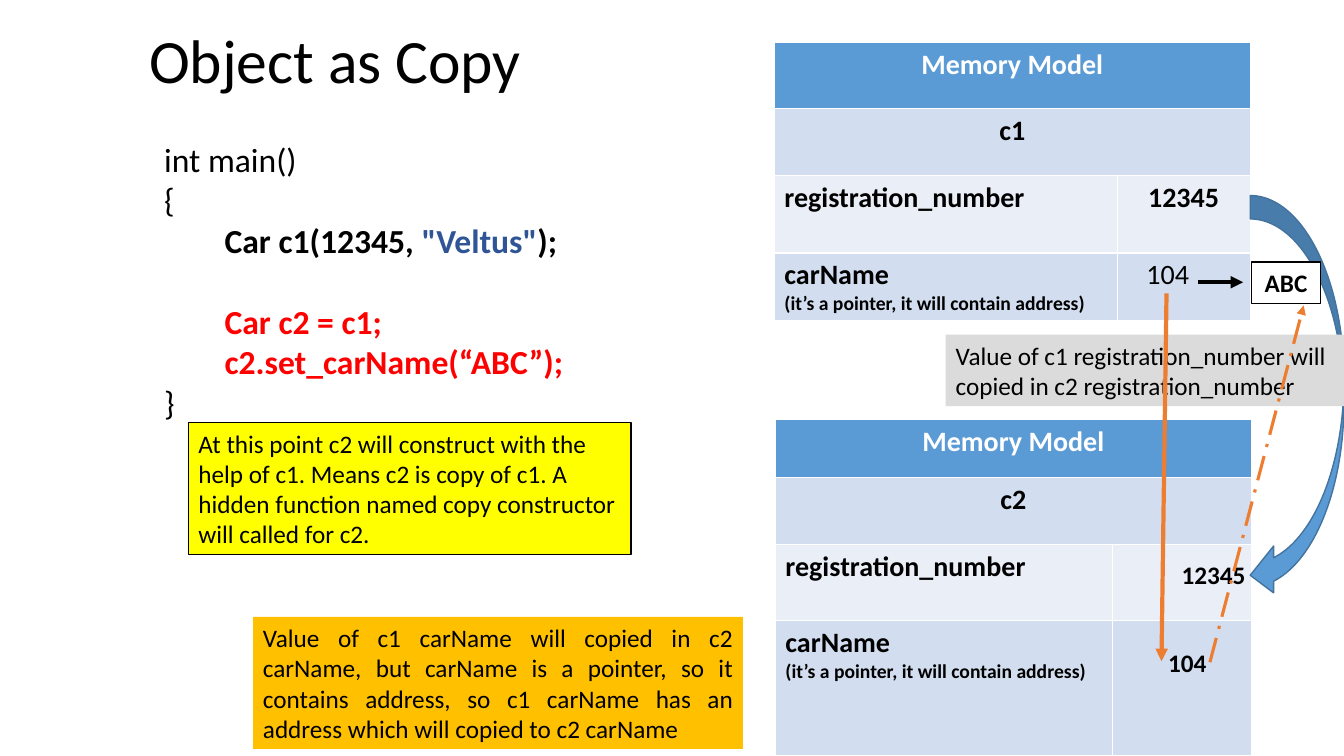
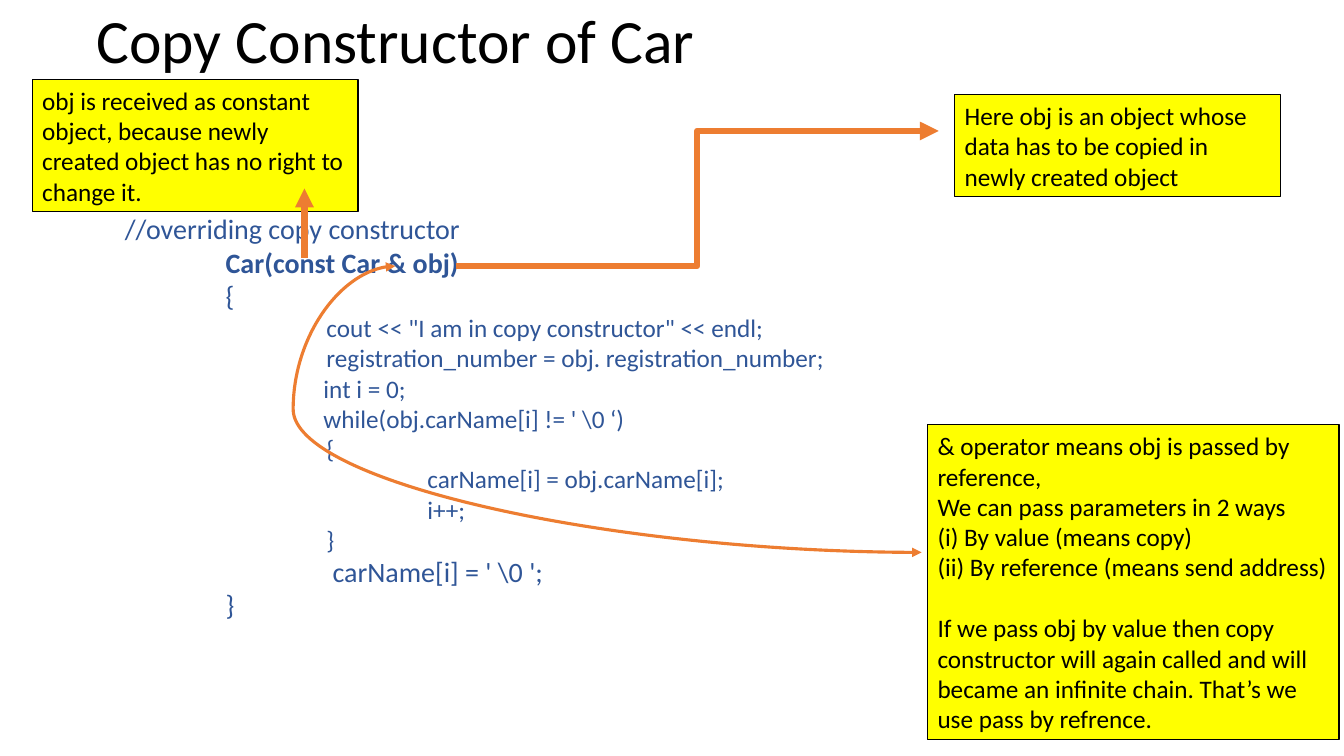
"""Build two slides on copying objects and the copy constructor."""
from lxml import etree
from pptx import Presentation
from pptx.dml.color import RGBColor
from pptx.enum.dml import MSO_LINE
from pptx.enum.shapes import MSO_CONNECTOR, MSO_SHAPE
from pptx.enum.text import MSO_ANCHOR, PP_ALIGN
from pptx.oxml.ns import qn
from pptx.util import Inches, Pt

RECT, CURL = MSO_SHAPE.RECTANGLE, MSO_SHAPE.CURVED_LEFT_ARROW
LINE, BENT, CURVE = MSO_CONNECTOR.STRAIGHT, MSO_CONNECTOR.ELBOW, MSO_CONNECTOR.CURVE
LEFT, MID, FULL = PP_ALIGN.LEFT, PP_ALIGN.CENTER, PP_ALIGN.JUSTIFY
TOP, CENTER = MSO_ANCHOR.TOP, MSO_ANCHOR.MIDDLE
DASH = MSO_LINE.LONG_DASH_DOT

HEX = {
    "black": "000000", "white": "FFFFFF", "blue": "5B9BD5", "edge": "43739E",
    "code": "2F5597", "red": "FF0000", "pale": "D2DEEF", "faint": "EAEFF7",
    "grey": "DBDBDB", "gold": "FFC000", "yellow": "FFFF00", "orange": "ED7D31",
}
BASE = {"name": "Calibri", "size": 18, "bold": False, "color": "black"}


def tint(name):
    """Return the named colour."""
    return RGBColor.from_string(HEX[name])


def style(font, form):
    """Apply a dict of format values to a font."""
    for key, value in form.items():
        if key == "color":
            font.color.rgb = tint(value)
        else:
            setattr(font, key, Pt(value) if key == "size" else value)


def row(*runs, left=0, gap=0, **form):
    """Describe one paragraph: its runs, indent, space before and format."""
    return {"runs": runs, "left": left, "gap": gap, "form": form}


def write(frame, rows, align=LEFT, **form):
    """Fill a text frame; runs are strings or (string, format) pairs."""
    for i, item in enumerate(rows):
        item = row(item) if isinstance(item, str) else item
        para = frame.add_paragraph() if i else frame.paragraphs[0]
        para.alignment = align
        para.space_before = Pt(item["gap"])
        if item["left"]:
            para._p.get_or_add_pPr().set("marL", str(Inches(item["left"])))
        for part in item["runs"]:
            words, own = (part, {}) if isinstance(part, str) else part
            run = para.add_run()
            run.text = words
            style(run.font, {**BASE, **form, **item["form"], **own})


def text(slide, box, rows, anchor=TOP, **form):
    """Place a wrapped text box."""
    frame = slide.shapes.add_textbox(*map(Inches, box)).text_frame
    frame.word_wrap = True
    frame.vertical_anchor = anchor
    write(frame, rows, **form)
    return frame


def title(slide, box, words):
    """Place the slide title."""
    frame = text(slide, box, [words], CENTER, size=44)
    frame.paragraphs[0].line_spacing = 0.9


def shape(slide, kind, box, fill, edge=None):
    """Place a flat filled shape."""
    item = slide.shapes.add_shape(kind, *map(Inches, box))
    item.shadow.inherit = False
    item.fill.solid()
    item.fill.fore_color.rgb = tint(fill)
    if edge:
        item.line.color.rgb = tint(edge)
        item.line.width = Pt(1)
    else:
        item.line.fill.background()
    return item


def note(slide, box, rows, fill="yellow", edge="black", **form):
    """Place a filled box with text."""
    frame = shape(slide, RECT, box, fill, edge).text_frame
    frame.word_wrap = True
    frame.vertical_anchor = CENTER
    write(frame, rows, **form)


def arrow(slide, start, end, width, kind=LINE, color="orange", dash=None,
          heads=("tailEnd",), bend=None):
    """Draw a connector with arrowheads."""
    item = slide.shapes.add_connector(kind, *map(Inches, start + end))
    item.line.color.rgb = tint(color)
    item.line.width = Pt(width)
    if dash:
        item.line.dash_style = dash
    props = item._element.spPr
    for head in heads:
        etree.SubElement(props.find(qn("a:ln")), qn("a:" + head), type="triangle")
    etree.SubElement(props, qn("a:effectLst"))
    if bend is not None:
        guides = props.find(qn("a:prstGeom")).get_or_add_avLst()
        etree.SubElement(guides, qn("a:gd"), name="adj1", fmla=f"val {bend}")


def model(slide, spot, cols, highs, name, values):
    """Place the memory table of one object."""
    box = (*spot, sum(cols), sum(highs))
    grid = slide.shapes.add_table(4, 2, *map(Inches, box)).table
    for col, width in zip(grid.columns, cols):
        col.width = Inches(width)
    for line, high in zip(grid.rows, highs):
        line.height = Inches(high)
    hint = row("(it’s a pointer, it will contain address)", size=14)
    cells = [[["Memory Model"]], [[name]],
             [["registration_number"], values[0]],
             [["carName", hint], values[1]]]
    for r, fill in enumerate(("blue", "pale", "faint", "pale")):
        if r < 2:
            grid.cell(r, 0).merge(grid.cell(r, 1))
        for c, rows in enumerate(cells[r]):
            cell = grid.cell(r, c)
            cell.fill.solid()
            cell.fill.fore_color.rgb = tint(fill)
            align = MID if r < 2 or (r, c) == (2, 1) else LEFT
            write(cell.text_frame, rows, align, size=20, bold=True,
                  color="black" if r else "white")


def object_slide(slide):
    """Show how an object is copied in memory."""
    title(slide, (1.38, 0, 6, 1.26), "Object as Copy")
    bold = {"bold": True}
    text(slide, (1.53, 1.33, 5.84, 2.93), [
        "int main()",
        "{",
        row("Car c1(12345, ", ('"Veltus"', {"color": "code"}), ");", left=0.6, **bold),
        row("Car c2 = c1;", left=0.6, gap=29.3, color="red", **bold),
        row("c2.set_carName(“ABC”);", left=0.6, color="red", **bold),
        "}"], size=24)
    model(slide, (7.68, 0.42), (3.4, 1.32), (0.66, 0.66, 0.77, 0.67), "c1",
          (["12345"], [row("104", left=0.19, bold=False)]))
    model(slide, (7.69, 4.16), (3.34, 1.38), (0.58, 0.66, 0.76, 1.34), "c2",
          ([], []))
    shape(slide, CURL, (12.4, 1.94, 0.93, 4), "blue", "edge")
    text(slide, (11.33, 6.37, 0.89, 0.4), ["104"], align=MID, bold=True)
    note(slide, (9.38, 3.32, 3.95, 0.71),
         ["Value of c1 registration_number will copied in c2 registration_number"],
         "grey", None)
    text(slide, (11.59, 5.5, 0.89, 0.4), ["12345"], align=MID, bold=True)
    note(slide, (2.51, 6.12, 4.86, 1.31),
         ["Value of c1 carName will copied in c2 carName, but carName is a "
          "pointer, so it contains address, so c1 carName has an address "
          "which will copied to c2 carName"], "gold", None, align=FULL)
    arrow(slide, (11.57, 2.91), (11.52, 6.56), 3)
    arrow(slide, (12, 6.57), (12.93, 3.03), 2.25, dash=DASH)
    note(slide, (12.41, 2.6, 0.69, 0.41), ["ABC"], "white", align=MID, bold=True)
    arrow(slide, (11.88, 2.8), (12.33, 2.8), 3, color="black")
    note(slide, (1.87, 4.19, 4.39, 1.31),
         ["At this point c2 will construct with the help of c1. Means c2 is "
          "copy of c1. A hidden function named copy constructor will called "
          "for c2."])


def maker_slide(slide):
    """Show the copy constructor with notes."""
    title(slide, (0.86, 0, 11.5, 0.87), "Copy Constructor of Car")
    big = {"size": 20}
    text(slide, (1.14, 2.05, 8.17, 4.54), [
        row("//overriding copy constructor", **big),
        row("Car(const Car & obj)", left=1, bold=True, **big),
        row("{", left=1, **big),
        row('cout << "I am in copy constructor" << endl;', left=2),
        row("registration_number = obj. registration_number;", left=2),
        row("int i = 0;", left=1.97),
        row("while(obj.carName[i] != ' \\0 ‘)", left=1.97),
        row("{", left=2),
        row("carName[i] = obj.carName[i];", left=3),
        row("i++;", left=3),
        row("}", left=2),
        row("carName[i] = ' \\0 ';", left=2.06, **big),
        row("}", left=1, **big)], color="code")
    arrow(slide, (4.52, 2.64), (9.31, 1.3), 4.5, BENT)
    note(slide, (0.32, 0.79, 3.23, 1.31),
         ["obj is received as constant object, because newly created object "
          "has no right to change it."])
    note(slide, (9.47, 0.94, 3.23, 1.01),
         ["Here obj is an object whose data has to be copied in newly created "
          "object"])
    arrow(slide, (3.02, 2.56), (3.02, 1.87), 4.5)
    arrow(slide, (3.92, 2.64), (9.14, 5.48), 2.25, CURVE,
          heads=("headEnd", "tailEnd"), bend=-19400)
    note(slide, (9.2, 4.21, 4.08, 3.13), [
        "& operator means obj is passed by reference,",
        "We can pass parameters in 2 ways",
        "(i) By value (means copy)",
        "(ii) By reference (means send address)",
        row("If we pass obj by value then copy constructor will again called "
            "and will became an infinite chain. That’s we use pass by "
            "refrence.", gap=22)])


def main():
    """Build and save the deck."""
    deck = Presentation()
    deck.slide_width, deck.slide_height = Inches(13.33), Inches(7.5)
    for build in (object_slide, maker_slide):
        build(deck.slides.add_slide(deck.slide_layouts[6]))
    deck.save("out.pptx")


if __name__ == "__main__":
    main()
